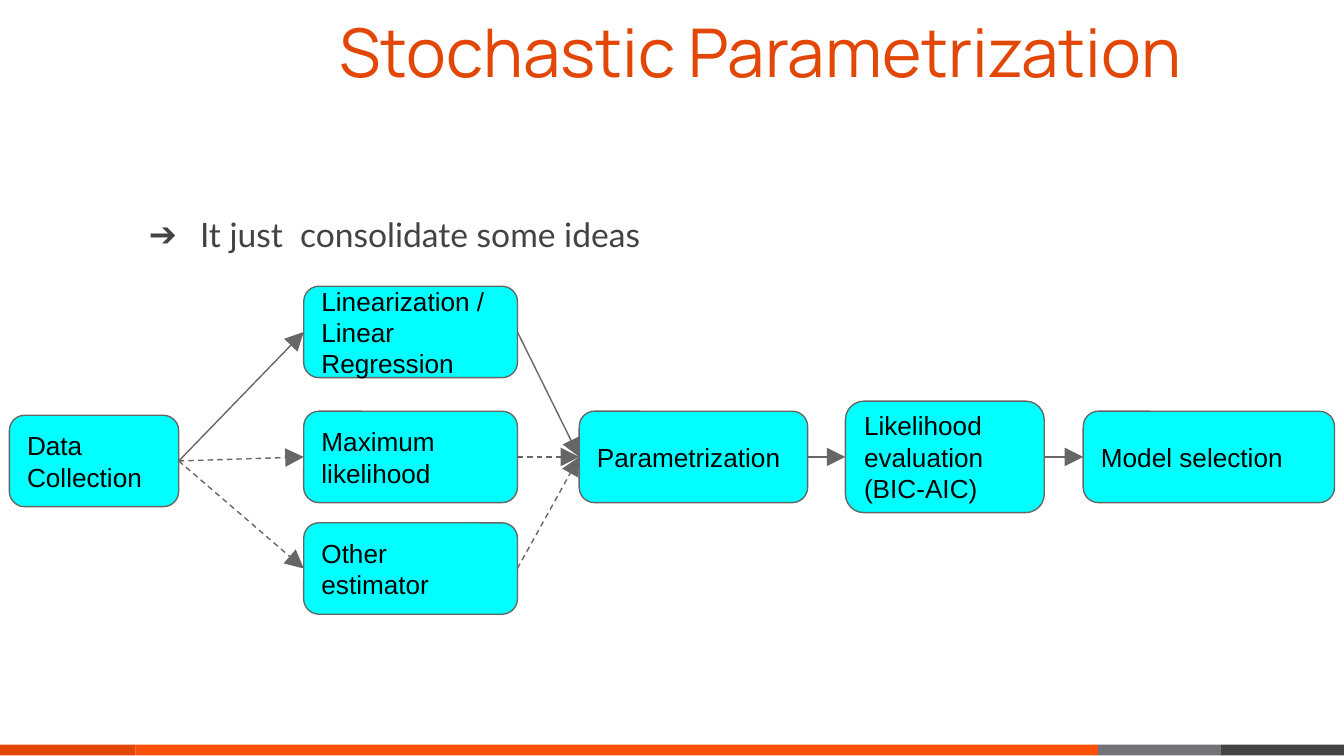
"""Build the Stochastic Parametrization flow slide."""
from lxml import etree
from pptx import Presentation
from pptx.dml.color import RGBColor
from pptx.enum.dml import MSO_LINE
from pptx.enum.shapes import MSO_CONNECTOR, MSO_SHAPE
from pptx.enum.text import MSO_ANCHOR, PP_ALIGN
from pptx.oxml.ns import qn
from pptx.util import Inches, Pt

STRAIGHT = MSO_CONNECTOR.STRAIGHT
RECTANGLE, ROUNDED = MSO_SHAPE.RECTANGLE, MSO_SHAPE.ROUNDED_RECTANGLE
TOP, MIDDLE = MSO_ANCHOR.TOP, MSO_ANCHOR.MIDDLE
LEFT, RIGHT = PP_ALIGN.LEFT, PP_ALIGN.RIGHT
DASH = MSO_LINE.DASH
LEFT_SITE, RIGHT_SITE = 1, 3

COLORS = {
    "orange": "FF5008", "rust": "E34707", "gray": "727376", "dark": "434343",
    "cyan": "00FFFF", "outline": "666666", "black": "000000",
}

SLIDE_WIDTH = 10
SLIDE_HEIGHT = SLIDE_WIDTH * 9 / 16
FOOTER_TOP, FOOTER_HEIGHT = 5.54, 0.08
FOOTER = [(0, "rust"), (1.01, "orange"), (8.17, "gray"), (9.08, "dark")]

TITLE = "Stochastic Parametrization"
IDEA = "It just  consolidate some ideas"
BULLET = "➔"

MAIN_ROW = 3.4
STEP_HEIGHT = 0.68
STEPS = {
    "data": ("Data Collection", 0.07, 3.43, 1.26, STEP_HEIGHT),
    "linear": ("Linearization / Linear Regression", 2.26, 2.47, 1.59, STEP_HEIGHT),
    "likelihood": ("Maximum likelihood", 2.26, MAIN_ROW, 1.59, STEP_HEIGHT),
    "other": ("Other estimator", 2.26, 4.23, 1.59, STEP_HEIGHT),
    "parameters": ("Parametrization", 4.31, MAIN_ROW, 1.7, STEP_HEIGHT),
    "evaluation": ("Likelihood evaluation (BIC-AIC)", 6.29, MAIN_ROW, 1.48, 0.83),
    "selection": ("Model selection", 8.06, MAIN_ROW, 1.87, STEP_HEIGHT),
}
ARROWS = [
    ("data", "linear", False),
    ("data", "likelihood", True),
    ("data", "other", True),
    ("linear", "parameters", False),
    ("likelihood", "parameters", True),
    ("other", "parameters", True),
    ("parameters", "evaluation", False),
    ("evaluation", "selection", False),
]
ARROWHEAD = {"type": "triangle", "w": "lg", "len": "lg"}


def rgb(name):
    return RGBColor.from_string(COLORS[name])


def write(holder, text, font, size, color, align=LEFT, anchor=MIDDLE):
    frame = holder.text_frame
    margins = {f"margin_{side}": Inches(0.1) for side in ("left", "top", "right", "bottom")}
    for key, value in {**margins, "word_wrap": True, "vertical_anchor": anchor}.items():
        setattr(frame, key, value)
    paragraph = frame.paragraphs[0]
    paragraph.alignment = align
    run = paragraph.add_run()
    run.text = text
    for key, value in {"name": font, "size": Pt(size)}.items():
        setattr(run.font, key, value)
    run.font.color.rgb = rgb(color)
    return paragraph


def add_bullet(paragraph, symbol, font, color, indent, hanging):
    properties = paragraph._p.get_or_add_pPr()
    properties.set("marL", str(Inches(indent)))
    properties.set("indent", str(-Inches(hanging)))
    bullet_color = etree.SubElement(properties, qn("a:buClr"))
    etree.SubElement(bullet_color, qn("a:srgbClr"), val=COLORS[color])
    etree.SubElement(properties, qn("a:buFont"), typeface=font)
    etree.SubElement(properties, qn("a:buChar"), char=symbol)


def add_block(slide, kind, box, fill):
    block = slide.shapes.add_shape(kind, *map(Inches, box))
    block.shadow.inherit = False
    block.fill.solid()
    block.fill.fore_color.rgb = rgb(fill)
    block.line.fill.background()
    return block


def outline(line):
    line.color.rgb = rgb("outline")
    line.width = Pt(0.75)


def add_step(slide, text, left, center, width, height):
    step = add_block(slide, ROUNDED, (left, center - height / 2, width, height), "cyan")
    outline(step.line)
    write(step, text, "Arial", 14, "black")
    return step


def add_arrow(slide, source, target, dashed):
    arrow = slide.shapes.add_connector(STRAIGHT, 0, 0, 0, 0)
    arrow.begin_connect(source, RIGHT_SITE)
    arrow.end_connect(target, LEFT_SITE)
    outline(arrow.line)
    if dashed:
        arrow.line.dash_style = DASH
    etree.SubElement(arrow.line._get_or_add_ln(), qn("a:tailEnd"), ARROWHEAD)
    etree.SubElement(arrow._element.spPr, qn("a:effectLst"))


def main():
    deck = Presentation()
    deck.slide_width, deck.slide_height = Inches(SLIDE_WIDTH), Inches(SLIDE_HEIGHT)
    slide = deck.slides.add_slide(deck.slide_layouts[6])

    ends = [left for left, _ in FOOTER[1:]] + [SLIDE_WIDTH]
    for (left, color), end in zip(FOOTER, ends):
        add_block(slide, RECTANGLE, (left, FOOTER_TOP, end - left, FOOTER_HEIGHT), color)

    idea = slide.shapes.add_textbox(*map(Inches, (0.89, 1.49, 7.07, 3.88)))
    idea_line = write(idea, IDEA, "Lato", 18, "dark", anchor=TOP)
    add_bullet(idea_line, BULLET, "Lato", "dark", 0.5, 0.38)
    title = slide.shapes.add_textbox(*map(Inches, (0.32, 0, 8.57, 0.75)))
    write(title, TITLE, "Manrope", 36, "rust", align=RIGHT)

    steps = {key: add_step(slide, *step) for key, step in STEPS.items()}
    for source, target, dashed in ARROWS:
        add_arrow(slide, steps[source], steps[target], dashed)

    deck.save("out.pptx")


if __name__ == "__main__":
    main()
